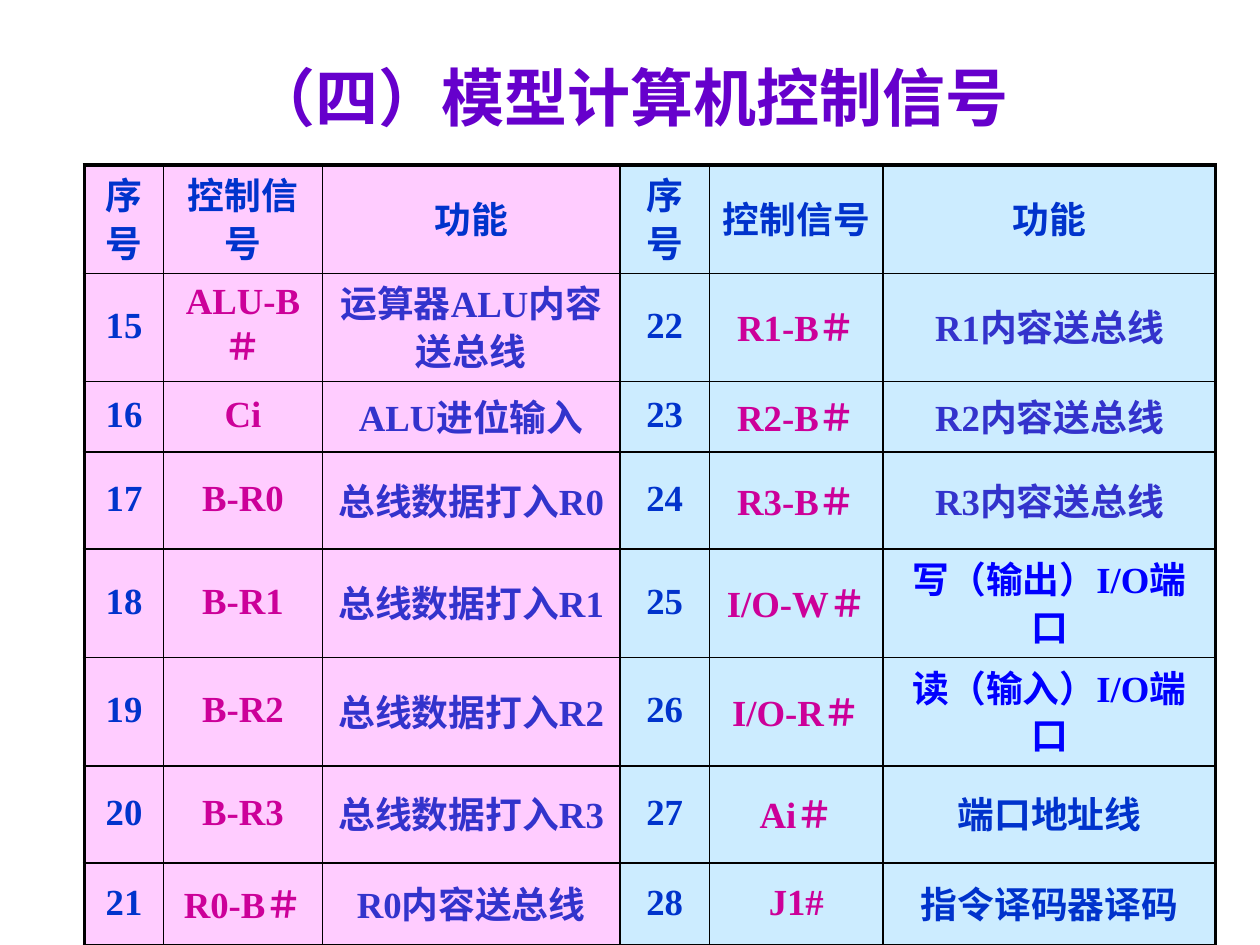
import pptx
import pptx.dml.color
import pptx.enum.lang
import pptx.enum.text
import pptx.oxml
import pptx.oxml.ns
import pptx.util

Pt = pptx.util.Pt
RGBColor = pptx.dml.color.RGBColor
MIDDLE = pptx.enum.text.MSO_ANCHOR.MIDDLE
CENTER = pptx.enum.text.PP_ALIGN.CENTER
CHINESE = pptx.enum.lang.MSO_LANGUAGE_ID.SIMPLIFIED_CHINESE

PURPLE = RGBColor(0x66, 0x00, 0xCC)
NAVY = RGBColor(0x00, 0x33, 0xCC)
MAGENTA = RGBColor(0xCC, 0x00, 0x99)
INDIGO = RGBColor(0x33, 0x33, 0xCC)
BLUE = RGBColor(0x00, 0x00, 0xFF)
PINK = RGBColor(0xFF, 0xCC, 0xFF)
SKY = RGBColor(0xCC, 0xEC, 0xFF)
BLACK = RGBColor(0x00, 0x00, 0x00)

HEADINGS = ["序号", "控制信号", "功能"]
FIRST_NUMBER = 15
LEFT_SIGNALS = [
    ("ALU-B＃", "运算器ALU内容送总线", INDIGO),
    ("Ci", "ALU进位输入", INDIGO),
    *[(f"B-R{i}", f"总线数据打入R{i}", INDIGO) for i in range(4)],
    ("R0-B＃", "R0内容送总线", INDIGO),
]
RIGHT_SIGNALS = [
    *[(f"R{i}-B＃", f"R{i}内容送总线", INDIGO) for i in range(1, 4)],
    ("I/O-W＃", "写（输出）I/O端口", BLUE),
    ("I/O-R＃", "读（输入）I/O端口", BLUE),
    ("Ai＃", "端口地址线", NAVY),
    ("J1#", "指令译码器译码", NAVY),
]
COLUMN_WIDTHS = [45.25, 90.75, 170, 51.25, 99.25, 190]
ROW_HEIGHTS = [51, 40.3, 40.3, 40.3, 42.5, 40.3, 40.3, 47.5]


class SlideBuilder:
    font = "Times New Roman"
    inner_line = 1
    outer_line = 2.25

    def __init__(self, page):
        self.page = page

    def format_text(self, frame, size, color):
        frame.vertical_anchor = MIDDLE
        for para in frame.paragraphs:
            para.alignment = CENTER
            for span in para.runs:
                span.font.name = self.font
                span.font.size = Pt(size)
                span.font.bold = True
                span.font.color.rgb = color
                span.font.language_id = CHINESE

    def title(self, text, left, top, width, height):
        box = self.page.shapes.title
        box.left, box.top = Pt(left), Pt(top)
        box.width, box.height = Pt(width), Pt(height)
        box.text_frame.text = text
        self.format_text(box.text_frame, 36, PURPLE)

    def table(self, left, top, widths, heights, rows):
        """Draw rows of (text, text colour, fill colour) cells."""
        frame = self.page.shapes.add_table(
            len(heights), len(widths), Pt(left), Pt(top),
            Pt(sum(widths)), Pt(sum(heights)))
        table = frame.table
        table.first_row = table.horz_banding = False
        for column, width in zip(table.columns, widths):
            column.width = Pt(width)
        for row, height in zip(table.rows, heights):
            row.height = Pt(height)
        last_row, last_column = len(heights) - 1, len(widths) - 1
        for r, row in enumerate(rows):
            for c, (text, color, fill) in enumerate(row):
                cell = table.cell(r, c)
                cell.text_frame.text = text
                self.format_text(cell.text_frame, 21, color)
                cell.vertical_anchor = MIDDLE
                para = cell.text_frame.paragraphs[0]
                para.line_spacing = 0.9
                self.space_after(para, 20)
                self.borders(cell, {"L": c == 0, "R": c == last_column,
                                    "T": r == 0, "B": r == last_row})
                cell.fill.solid()
                cell.fill.fore_color.rgb = fill

    def space_after(self, para, percent):
        namespace = pptx.oxml.ns.nsdecls("a")
        para.line_spacing_properties = para._p.get_or_add_pPr()
        para.line_spacing_properties.append(pptx.oxml.parse_xml(
            f'<a:spcAft {namespace}><a:spcPct val="{percent * 1000}"/></a:spcAft>'))

    def borders(self, cell, outer_sides):
        namespace = pptx.oxml.ns.nsdecls("a")
        properties = cell._tc.get_or_add_tcPr()
        for side, is_outer in outer_sides.items():
            width = Pt(self.outer_line if is_outer else self.inner_line)
            properties.append(pptx.oxml.parse_xml(
                f'<a:ln{side} {namespace} w="{width}"><a:solidFill>'
                f'<a:srgbClr val="{BLACK}"/></a:solidFill></a:ln{side}>'))


def signal_cells(number, signal, fill):
    name, function, function_color = signal
    return [(str(number), NAVY, fill), (name, MAGENTA, fill),
            (function, function_color, fill)]


def main():
    deck = pptx.Presentation()
    deck.slide_width, deck.slide_height = Pt(720), Pt(540)
    builder = SlideBuilder(deck.slides.add_slide(deck.slide_layouts[5]))
    builder.title("（四）模型计算机控制信号", 54, 26, 612, 57.6)

    rows = [[(text, NAVY, fill) for fill in (PINK, SKY) for text in HEADINGS]]
    for i, (left, right) in enumerate(zip(LEFT_SIGNALS, RIGHT_SIGNALS)):
        number = FIRST_NUMBER + i
        rows.append(signal_cells(number, left, PINK)
                    + signal_cells(number + len(LEFT_SIGNALS), right, SKY))
    builder.table(48.25, 94.3, COLUMN_WIDTHS, ROW_HEIGHTS, rows)
    deck.save("out.pptx")


if __name__ == "__main__":
    main()
